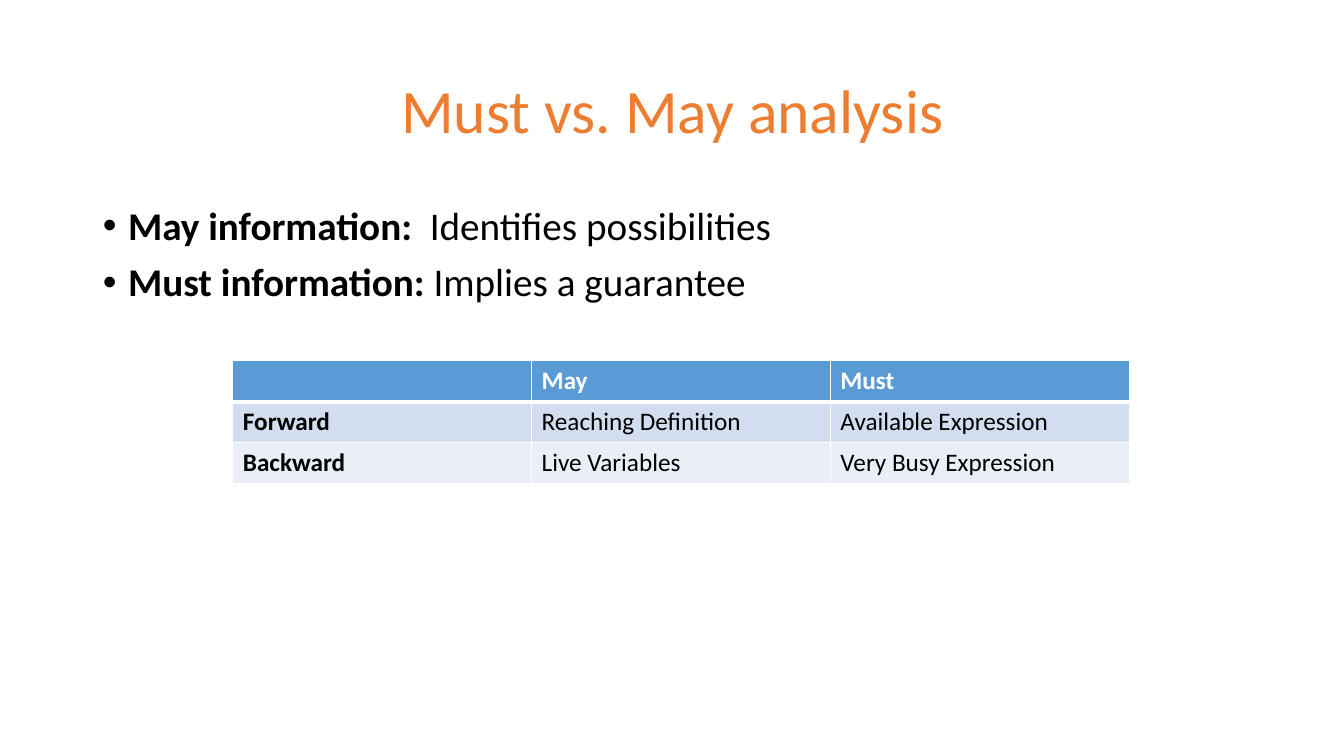
from lxml import etree
from pptx import Presentation
from pptx.dml.color import RGBColor
from pptx.enum.text import MSO_ANCHOR, MSO_AUTO_SIZE, PP_ALIGN
from pptx.oxml.ns import qn
from pptx.util import Inches, Pt

CENTER = PP_ALIGN.CENTER
MIDDLE = MSO_ANCHOR.MIDDLE
TOP = MSO_ANCHOR.TOP
NO_AUTOFIT = MSO_AUTO_SIZE.NONE

FONT = "Calibri"
ORANGE, BLACK, WHITE = "ED7D31", "000000", "FFFFFF"
HEADER_FILL = "5B9BD5"
BAND_FILLS = ("D2DEEF", "EAEFF7")

TITLE_BOX = (0.92, 0.4, 11.5, 1.45)
BODY_BOX = (0.92, 2, 11.5, 4.76)
TABLE_BOX = (2.31, 3.58, 8.89, 1.22)

DEFINITIONS = (
    ("May information:  ", "Identifies possibilities"),
    ("Must information: ", "Implies a guarantee"),
)
ANALYSES = (
    ("", "May", "Must"),
    ("Forward", "Reaching Definition", "Available Expression"),
    ("Backward", "Live Variables", "Very Busy Expression"),
)


def color(hex_string):
    """Turn a hex string into a colour."""
    return RGBColor.from_string(hex_string)


def style_font(font, size, hex_string, bold=None):
    """Set typeface, size, colour and weight of a font."""
    font.name = FONT
    font.size = Pt(size)
    font.color.rgb = color(hex_string)
    font.bold = bold


def place(shape, box, anchor):
    """Move a placeholder into its box and return its text frame."""
    shape.left, shape.top, shape.width, shape.height = map(Inches, box)
    frame = shape.text_frame
    frame.auto_size = NO_AUTOFIT
    frame.word_wrap = True
    frame.vertical_anchor = anchor
    return frame


def fill_title(shape, box, text):
    """Write the centred slide title."""
    frame = place(shape, box, MIDDLE)
    frame.text = text
    para = frame.paragraphs[0]
    para.alignment = CENTER
    para.line_spacing = 0.9
    style_font(para.font, 44, ORANGE)


def fill_definitions(shape, box, definitions):
    """Write bullets that each pair a bold term with its meaning."""
    frame = place(shape, box, TOP)
    for index, (term, meaning) in enumerate(definitions):
        para = frame.add_paragraph() if index else frame.paragraphs[0]
        para.line_spacing = 0.9
        para.space_before = Pt(10)
        style_font(para.font, 28, BLACK)
        properties = para._p.get_or_add_pPr()
        properties.set("marL", str(Inches(0.25)))
        properties.set("indent", str(-Inches(0.25)))
        for text, bold in ((term, True), (meaning, False)):
            span = para.add_run()
            span.text = text
            span.font.bold = bold


def add_borders(cell, widths):
    """Draw white cell borders, with point widths keyed by side."""
    properties = cell._tc.get_or_add_tcPr()
    for position, (side, width) in enumerate(widths.items()):
        line = etree.Element(qn(f"a:ln{side}"), w=str(Pt(width)))
        fill = etree.SubElement(line, qn("a:solidFill"))
        etree.SubElement(fill, qn("a:srgbClr"), val=WHITE)
        properties.insert(position, line)


def add_analysis_table(page, box, rows):
    """Add a table with a header row, a bold first column and banded rows."""
    table = page.shapes.add_table(len(rows), len(rows[0]), *map(Inches, box)).table
    for row, texts in enumerate(rows):
        for column, text in enumerate(texts):
            cell = table.cell(row, column)
            cell.text = text
            cell.fill.solid()
            fill = BAND_FILLS[(row - 1) % 2] if row else HEADER_FILL
            cell.fill.fore_color.rgb = color(fill)
            style_font(cell.text_frame.paragraphs[0].font, 18,
                       BLACK if row else WHITE, row == 0 or column == 0)
            add_borders(cell, {"L": 1, "R": 1, "T": 3 if row == 1 else 1,
                               "B": 3 if row == 0 else 1})


def build_analysis_slide(deck):
    """Add the slide that compares must and may analysis."""
    page = deck.slides.add_slide(deck.slide_layouts[1])
    fill_title(page.shapes.title, TITLE_BOX, "Must vs. May analysis")
    fill_definitions(page.placeholders[1], BODY_BOX, DEFINITIONS)
    add_analysis_table(page, TABLE_BOX, ANALYSES)


def main():
    """Build and save the deck."""
    deck = Presentation()
    deck.slide_width = Inches(13.33)
    deck.slide_height = Inches(7.5)
    build_analysis_slide(deck)
    deck.save("out.pptx")


if __name__ == "__main__":
    main()
